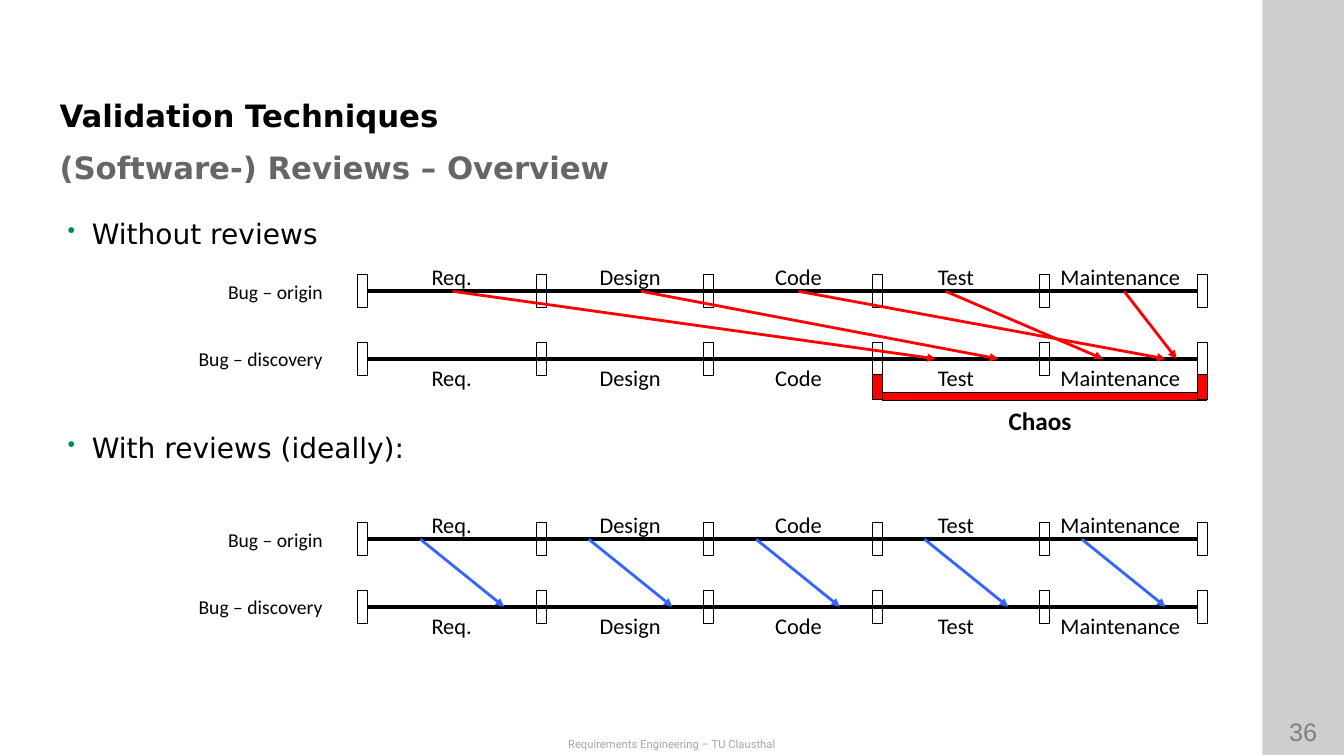
from dataclasses import dataclass

from lxml import etree
from pptx import Presentation
from pptx.dml.color import RGBColor
from pptx.enum.shapes import MSO_CONNECTOR, MSO_SHAPE
from pptx.enum.text import MSO_ANCHOR, PP_ALIGN
from pptx.oxml.ns import qn
from pptx.util import Inches, Pt

RECTANGLE = MSO_SHAPE.RECTANGLE
STRAIGHT = MSO_CONNECTOR.STRAIGHT
LEFT, CENTER, RIGHT = PP_ALIGN.LEFT, PP_ALIGN.CENTER, PP_ALIGN.RIGHT
TOP, MIDDLE, BOTTOM = MSO_ANCHOR.TOP, MSO_ANCHOR.MIDDLE, MSO_ANCHOR.BOTTOM

BLACK, RED, BLUE, GREEN = "000000", "FF0000", "3366FF", "008C4F"
TICK_LEFTS = (3.55, 5.32, 6.98, 8.65, 10.31, 11.88)
TICK_WIDTH, TICK_HEIGHT = 0.1, 0.33
ROW_GAP = 0.67


@dataclass(frozen=True)
class Style:
    font: str
    size: float
    color: str = BLACK
    bold: bool = False
    align: PP_ALIGN = LEFT
    anchor: MSO_ANCHOR = TOP
    margins: tuple[float, float] = (0.1, 0.05)


@dataclass(frozen=True)
class Phase:
    name: str
    left: float
    width: float = 1.24
    align: PP_ALIGN = CENTER


@dataclass(frozen=True)
class Process:
    axis: float
    color: str
    bugs: tuple[tuple[float, float], ...]


PHASES = (
    Phase("Req.", 3.86),
    Phase("Design", 5.63),
    Phase("Code", 7.3),
    Phase("Test", 8.86),
    Phase("Maintenance", 10.42, 1.87, LEFT),
)
PROCESSES = (
    Process(2.89, RED, ((4.49, 9.28), (6.36, 9.9), (7.92, 11.56), (9.38, 10.94), (11.15, 11.67))),
    Process(5.35, BLUE, tuple((start, start + 0.83) for start in (4.17, 5.84, 7.5, 9.17, 10.73))),
)


def rgb(color: str) -> RGBColor:
    return RGBColor.from_string(color)


def add_text(page, left: float, top: float, width: float, height: float,
             lines: tuple[str, ...], style: Style):
    box = page.shapes.add_textbox(Inches(left), Inches(top), Inches(width), Inches(height))
    frame = box.text_frame
    frame.word_wrap = True
    frame.vertical_anchor = style.anchor
    frame.margin_left = frame.margin_right = Inches(style.margins[0])
    frame.margin_top = frame.margin_bottom = Inches(style.margins[1])
    frame.text = "\n".join(lines)
    for para in frame.paragraphs:
        para.alignment = style.align
        para.font.name = style.font
        para.font.size = Pt(style.size)
        para.font.bold = style.bold
        para.font.color.rgb = rgb(style.color)
    return box


def add_bullet(para) -> None:
    properties = para._p.get_or_add_pPr()
    properties.set("marL", str(Inches(0.24)))
    properties.set("indent", str(Inches(-0.24)))
    bullet_color = etree.Element(qn("a:buClr"))
    etree.SubElement(bullet_color, qn("a:srgbClr"), val=GREEN)
    bullet_size = etree.Element(qn("a:buSzPct"), val="80000")
    bullet_mark = etree.Element(qn("a:buChar"), char="•")
    for position, element in enumerate((bullet_color, bullet_size, bullet_mark)):
        properties.insert(position, element)


def add_box(page, left: float, top: float, width: float, height: float,
            fill: str | None = None, outline: str | None = BLACK):
    box = page.shapes.add_shape(RECTANGLE, Inches(left), Inches(top), Inches(width), Inches(height))
    box.shadow.inherit = False
    if fill:
        box.fill.solid()
        box.fill.fore_color.rgb = rgb(fill)
    else:
        box.fill.background()
    if outline:
        box.line.color.rgb = rgb(outline)
        box.line.width = Pt(0.75)
    else:
        box.line.fill.background()
    return box


def add_line(page, start: tuple[float, float], end: tuple[float, float],
             color: str, width: float, arrow: bool = False):
    line = page.shapes.add_connector(STRAIGHT, *map(Inches, start + end))
    line.line.color.rgb = rgb(color)
    line.line.width = Pt(width)
    if arrow:
        etree.SubElement(line.line._get_or_add_ln(), qn("a:tailEnd"), type="triangle")
    etree.SubElement(line._element.spPr, qn("a:effectLst"))
    return line


def draw_timeline(page, axis: float, label: str, phase_top: float) -> None:
    top = axis - TICK_HEIGHT / 2
    add_text(page, 0.9, top, 2.4, TICK_HEIGHT, (label,), Style("Calibri", 14, align=RIGHT))
    for phase in PHASES:
        add_text(page, phase.left, phase_top, phase.width, 0.37, (phase.name,),
                 Style("Calibri", 16, align=phase.align))
    ticks = [add_box(page, left, top, TICK_WIDTH, TICK_HEIGHT) for left in TICK_LEFTS]
    line = add_line(page, (TICK_LEFTS[0] + TICK_WIDTH, axis), (TICK_LEFTS[-1], axis), BLACK, 3)
    line.begin_connect(ticks[0], 3)
    line.end_connect(ticks[-1], 1)


def draw_process(page, process: Process) -> None:
    discovery_axis = process.axis + ROW_GAP
    draw_timeline(page, process.axis, "Bug – origin", process.axis - 0.33)
    draw_timeline(page, discovery_axis, "Bug – discovery", discovery_axis)
    for origin, discovery in process.bugs:
        add_line(page, (origin, process.axis), (discovery, discovery_axis), process.color, 2, True)


def draw_chaos(page) -> None:
    add_box(page, 8.75, 3.89, 3.22, 0.08, RED)
    for left in (TICK_LEFTS[3], TICK_LEFTS[5]):
        add_box(page, left, 3.72, TICK_WIDTH, 0.24, RED)
    add_text(page, 9.28, 3.97, 2.07, 0.4, ("Chaos",),
             Style("Calibri", 18, bold=True, align=CENTER))


def draw_frame(page) -> None:
    add_box(page, 12.52, 0, 0.81, 7.49, "CECECE", None)
    add_text(page, 12.51, 7.06, 0.83, 0.4, ("36",), Style("Arial", 18, "808080", align=CENTER))
    add_text(page, 0, 7.27, 13.33, 0.23, ("Requirements Engineering – TU Clausthal",),
             Style("Roboto", 8, "A6A6A6", align=CENTER))
    add_text(page, 0.59, 0.79, 11.32, 0.54, ("Validation Techniques",),
             Style("DejaVu Sans", 22, bold=True, anchor=BOTTOM, margins=(0, 0)))
    add_text(page, 0.59, 1.39, 11.32, 0.54, ("(Software-) Reviews – Overview",),
             Style("DejaVu Sans", 22, "666666", True, anchor=MIDDLE, margins=(0, 0)))


def draw_cases(page) -> None:
    box = add_text(page, 0.67, 2.15, 11.58, 2.5, ("Without reviews", "With reviews (ideally):"),
                   Style("DejaVu Sans", 20, margins=(0, 0)))
    for para in box.text_frame.paragraphs:
        add_bullet(para)
    box.text_frame.paragraphs[1].space_before = Pt(129)


def main() -> None:
    deck = Presentation()
    deck.slide_width, deck.slide_height = Inches(13.33), Inches(7.5)
    page = deck.slides.add_slide(deck.slide_layouts[6])
    draw_frame(page)
    draw_cases(page)
    for process in PROCESSES:
        draw_process(page, process)
    draw_chaos(page)
    deck.save("out.pptx")


if __name__ == "__main__":
    main()
